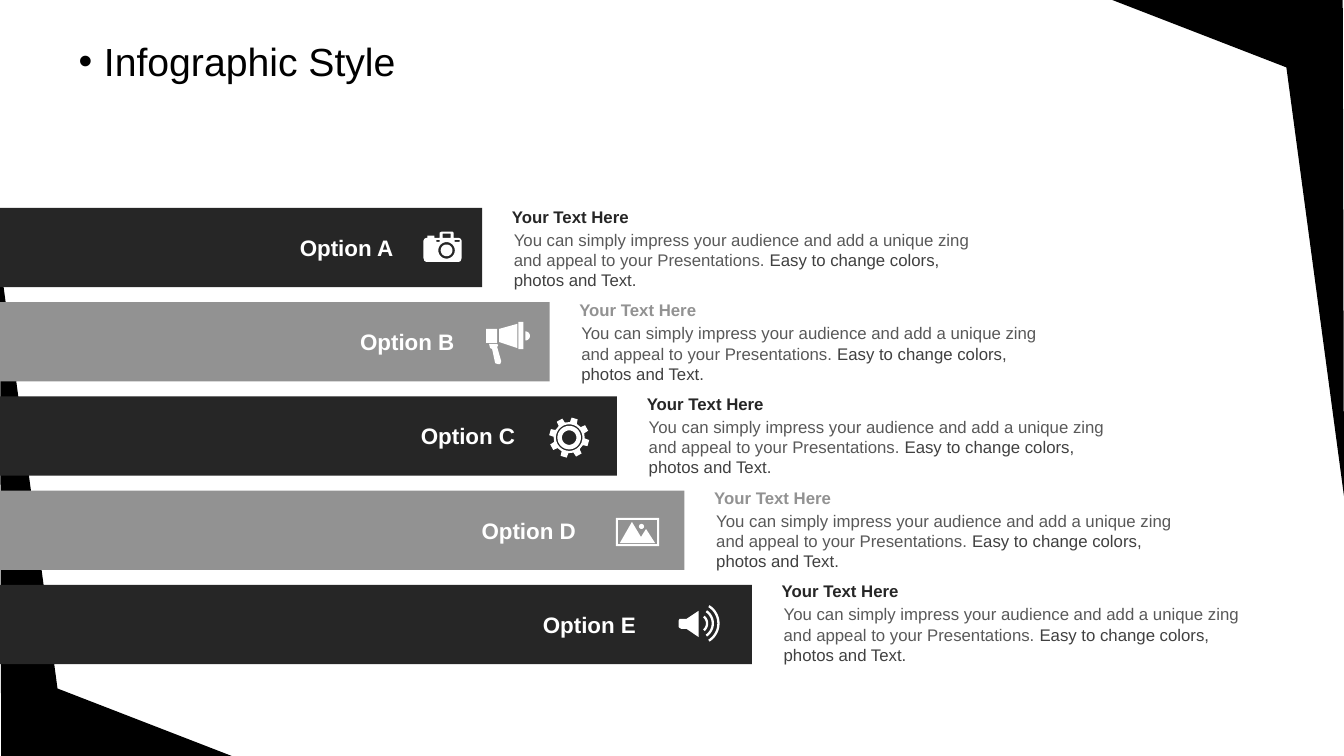
from dataclasses import dataclass
from math import cos, radians, sin

from lxml import etree
from pptx import Presentation
from pptx.dml.color import RGBColor
from pptx.enum.shapes import MSO_SHAPE
from pptx.enum.text import MSO_AUTO_SIZE, PP_ALIGN
from pptx.oxml.ns import qn
from pptx.util import Cm, Pt

RECTANGLE = MSO_SHAPE.RECTANGLE
LEFT, CENTER = PP_ALIGN.LEFT, PP_ALIGN.CENTER
GROW = MSO_AUTO_SIZE.SHAPE_TO_FIT_TEXT


@dataclass(frozen=True)
class Theme:
    font: str = "Arial"
    black: str = "000000"
    white: str = "FFFFFF"
    dark: str = "262626"
    grey: str = "929292"
    body: str = "595959"
    accent: str = "404040"
    title_size: int = 28
    label_size: int = 16
    body_size: int = 12


THEME = Theme()
PAGE_WIDTH, PAGE_HEIGHT = 33.87, 19.05
ICON_UNIT = 0.0254  # cm per icon grid step

# Content
HEADING = "Your Text Here"
BODY = [
    ("You can simply impress your audience and add a unique zing "
     "and appeal to your Presentations. ", THEME.body),
    ("Easy to change colors, photos and Text.", THEME.accent),
]


# Outline helpers, all in icon grid steps
def arc(x, y, radius, start=0, end=360):
    steps = 32
    angles = [radians(start + (end - start) * i / steps) for i in range(steps + 1)]
    return [(x + radius * cos(a), y + radius * sin(a)) for a in angles]


def rectangle(x, y, width, height):
    return [(x, y), (x + width, y), (x + width, y + height), (x, y + height)]


def sound_wave(radius, spread):
    x, y, thickness = 19.5, 18.5, 2.3
    return (arc(x, y, radius, -spread, spread)
            + arc(x, y, radius - thickness, spread, -spread))


def gear_teeth(x, y, teeth=8):
    corners = [(15.5, -13), (20, -9), (20, 9), (15.5, 13)]
    return [(x + radius * cos(radians(-74 + 360 / teeth * tooth + turn)),
             y + radius * sin(radians(-74 + 360 / teeth * tooth + turn)))
            for tooth in range(teeth) for radius, turn in corners]


CAMERA = [
    [(0, 9), (1, 7), (3, 6), (4, 6), (4, 4), (11, 4), (11, 6), (16, 6), (16, 1),
     (18, 0), (29, 0), (30, 1), (30, 6), (35, 6), (37, 7), (38, 9), (38, 26),
     (37, 29), (35, 30), (3, 30), (1, 29), (0, 26)],
    rectangle(19, 2, 8, 4), rectangle(13, 8, 3, 2), rectangle(31, 8, 5, 2),
    arc(23, 18.5, 8.2), arc(23, 18.5, 5.8),
]
MEGAPHONE = [
    [(3, 22), (11, 22), (12, 23), (11, 25), (15, 39), (14, 42), (12, 42),
     (9, 41), (6, 27), (4, 26)],
    rectangle(0, 7, 11, 14), [(13, 7), (31, 2), (31, 26), (13, 20)],
    rectangle(32, 0, 5, 27), arc(39, 14, 4.5, -90, 90),
]
GEAR = [gear_teeth(19.5, 20)] + [arc(19.5, 20, r) for r in (13.2, 11.7, 7.2)]
PHOTO = [
    rectangle(0, 0, 43, 28), rectangle(2, 2, 39, 24),
    [(4, 25), (16, 4), (25, 19), (30, 11), (39, 25)], arc(25.5, 8.5, 2.5),
]
SPEAKER = [
    [(20, 6), (20, 32), (8, 24), (3, 24), (1, 23), (0, 22), (0, 16), (1, 14),
     (3, 14), (8, 14)],
    sound_wave(10, 50), sound_wave(15.7, 56), sound_wave(21.3, 58),
]

# Label, icon outlines, icon left and top in cm
OPTIONS = [
    ("Option A", CAMERA, 10.67, 5.84),
    ("Option B", MEGAPHONE, 12.25, 8.11),
    ("Option C", GEAR, 13.85, 10.52),
    ("Option D", PHOTO, 15.52, 13.05),
    ("Option E", SPEAKER, 17.1, 15.24),
]


def paint(shape, color):
    shape.shadow.inherit = False
    shape.fill.solid()
    shape.fill.fore_color.rgb = RGBColor.from_string(color)
    shape.line.fill.background()


def add_outline(page, contours, color):
    """Draw closed contours, given in cm, as one shape."""
    builder = None
    for contour in contours:
        points = [(Cm(x), Cm(y)) for x, y in contour]
        if builder is None:
            builder = page.shapes.build_freeform(*points[0])
        else:
            builder.move_to(*points[0])
        builder.add_line_segments(points[1:], close=True)
    paint(builder.convert_to_shape(), color)


def add_icon(page, contours, left, top):
    placed = [[(left + x * ICON_UNIT, top + y * ICON_UNIT) for x, y in contour]
              for contour in contours]
    add_outline(page, placed, THEME.white)


def add_bar(page, top, width, color):
    paint(page.shapes.add_shape(RECTANGLE, 0, Cm(top), Cm(width), Cm(2)), color)


def add_bullet(para):
    properties = para._p.get_or_add_pPr()
    properties.set("marL", str(Cm(0.64)))
    properties.set("indent", str(Cm(-0.64)))
    etree.SubElement(properties, qn("a:buFont")).set("typeface", THEME.font)
    etree.SubElement(properties, qn("a:buChar")).set("char", "•")


def add_text(page, spans, left, top, width, height, *, size=THEME.body_size,
             bold=False, align=LEFT, bullet=False, spacing=1.0, auto_size=GROW):
    """Add one paragraph made of (text, color) spans."""
    box = page.shapes.add_textbox(Cm(left), Cm(top), Cm(width), Cm(height))
    frame = box.text_frame
    frame.word_wrap = True
    frame.auto_size = auto_size
    para = frame.paragraphs[0]
    if bullet:
        add_bullet(para)
    para.alignment = align
    para.line_spacing = spacing
    for text, color in spans:
        span = para.add_run()
        span.text = text
        span.font.name = THEME.font
        span.font.size = Pt(size)
        span.font.bold = bold
        span.font.color.rgb = RGBColor.from_string(color)


def add_corners(page):
    corner = [(0.03, PAGE_HEIGHT), (0, 6.55), (1.45, 17.35), (5.84, PAGE_HEIGHT)]
    opposite = [(PAGE_WIDTH - x, PAGE_HEIGHT - y) for x, y in corner]
    for contour in (corner, opposite):
        add_outline(page, [contour], THEME.black)


def add_option(page, index, label, icon, icon_left, icon_top):
    color = THEME.grey if index % 2 else THEME.dark
    shift, bar_drop, text_drop = 1.7 * index, 2.375 * index, 2.36 * index
    add_bar(page, 5.24 + bar_drop, 12.15 + shift, color)
    add_text(page, BODY, 12.7 + shift, 5.66 + text_drop, 12.09, 1.8)
    add_text(page, [(HEADING, color)], 12.65 + shift, 5.08 + text_drop, 11.99, 0.76,
             bold=True)
    add_text(page, [(label, THEME.white)], 7.06 + 1.53 * index, 5.77 + bar_drop,
             3.35, 0.94, size=THEME.label_size, bold=True, align=CENTER)
    add_icon(page, icon, icon_left, icon_top)


def main():
    deck = Presentation()
    deck.slide_width, deck.slide_height = Cm(PAGE_WIDTH), Cm(PAGE_HEIGHT)
    page = deck.slides.add_slide(deck.slide_layouts[6])

    # Backdrop and title
    add_corners(page)
    add_text(page, [("Infographic Style", THEME.black)], 1.73, 0.94, 32.14, 2.01,
             size=THEME.title_size, bullet=True, spacing=0.9,
             auto_size=MSO_AUTO_SIZE.NONE)

    # Stepped options
    for index, option in enumerate(OPTIONS):
        add_option(page, index, *option)

    deck.save("out.pptx")


if __name__ == "__main__":
    main()
